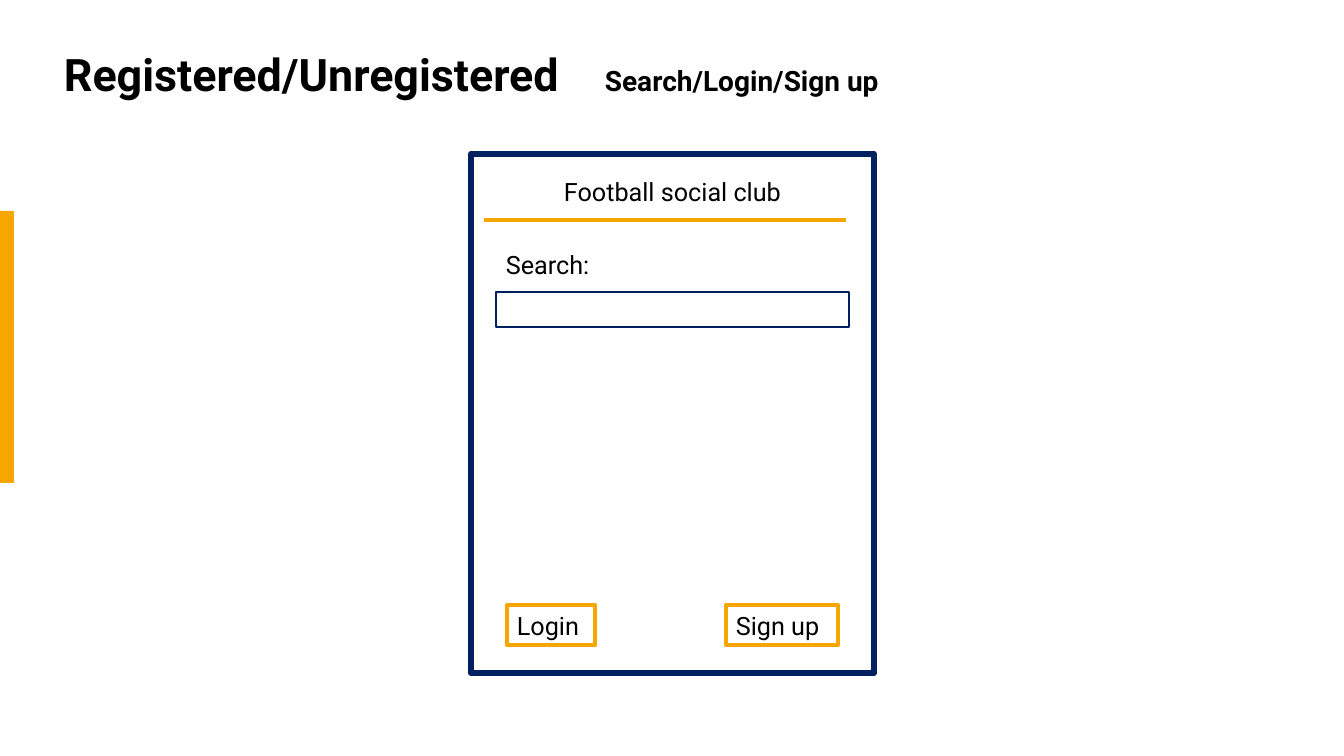
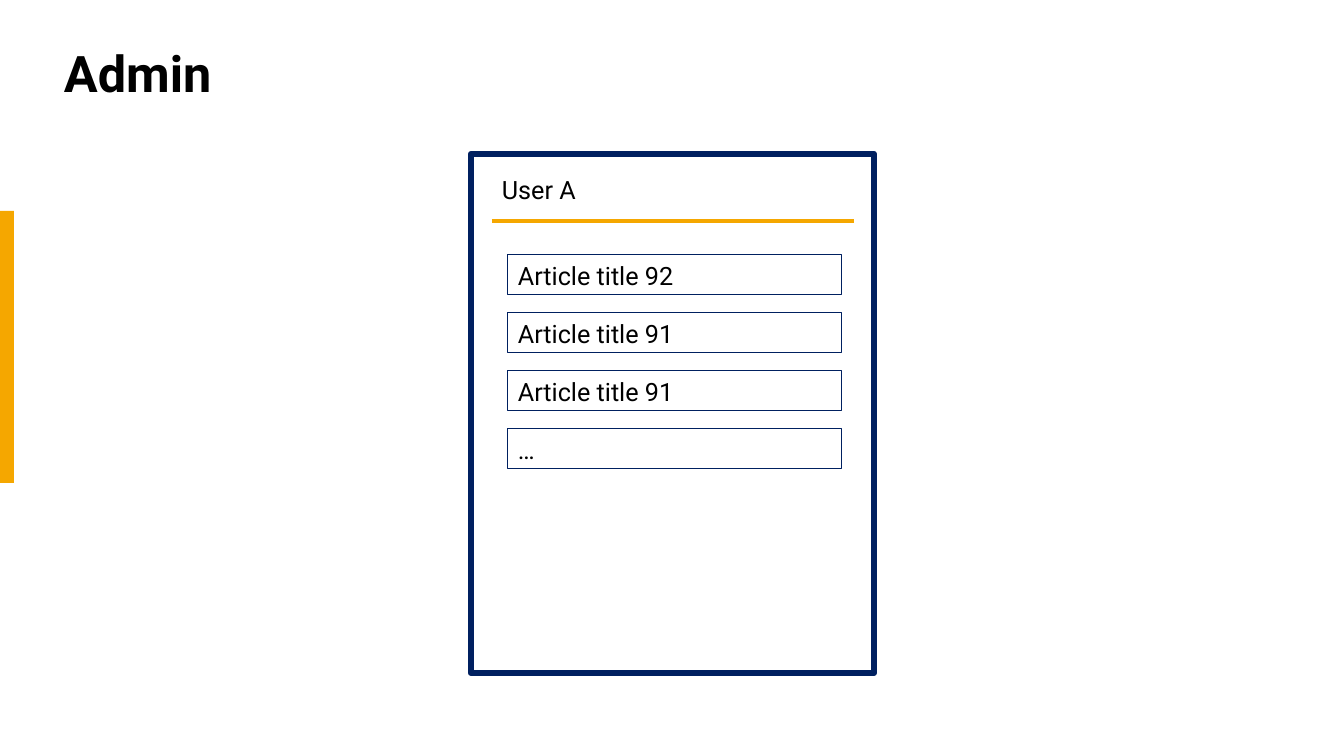
from lxml import etree
from pptx import Presentation
from pptx.dml.color import RGBColor
from pptx.enum.shapes import MSO_CONNECTOR, MSO_SHAPE
from pptx.enum.text import MSO_ANCHOR, PP_ALIGN
from pptx.oxml.ns import qn
from pptx.util import Pt

# Content: (text, size) runs; text and field boxes as (text, left, top, width)
TITLES = {
    "visitor": [("Registered/Unregistered\t", 32), ("Search/Login/Sign up", 20)],
    "admin": [("Admin", 36)],
}
BUTTONS = [("Login", 507, 605, 88), ("Sign up", 726, 605, 112)]
ARTICLES = ["Article title 92", "Article title 91", "Article title 91", "…"]

# Shared style
FONT = "Roboto"
BLACK, WHITE, NAVY, ORANGE = "000000", "FFFFFF", "002060", "F5A700"
BODY_SIZE = 18
ROW_HEIGHT = 40
SUBTITLE_TAB = 541

# Places in px
SLIDE_SIZE = (1344, 756)
TITLE_BOX = (54, 40, 1249, 73)
SIDE_BAR = (0, 211, 14, 272)
FRAME = (471, 154, 403, 519)
RULE_WIDTH = 362
SEARCH_FIELD = (496, 292, 353, 35)
ARTICLE_LEFT, ARTICLE_TOP, ARTICLE_WIDTH, ARTICLE_PITCH = 508, 255, 334, 58


def px(length):
    return round(length * 914400 / 100.8)


def color(value):
    return RGBColor.from_string(value)


def set_line(shape, line, width):
    shape.line.color.rgb = color(line)
    shape.line.width = Pt(width)


def add_rectangle(slide, box, fill, line=None, width=0):
    shape = slide.shapes.add_shape(MSO_SHAPE.RECTANGLE, *map(px, box))
    shape.shadow.inherit = False
    shape.fill.solid()
    shape.fill.fore_color.rgb = color(fill)
    if line:
        set_line(shape, line, width)
    else:
        shape.line.fill.background()


def add_run(paragraph, text, size, bold=False):
    run = paragraph.add_run()
    run.text = text
    run.font.name = FONT
    run.font.size = Pt(size)
    run.font.bold = bold
    run.font.color.rgb = color(BLACK)


def add_text(slide, text, left, top, width, align=PP_ALIGN.LEFT, line=None, line_width=0):
    shape = slide.shapes.add_textbox(*map(px, (left, top, width, ROW_HEIGHT)))
    shape.text_frame.word_wrap = True
    paragraph = shape.text_frame.paragraphs[0]
    paragraph.alignment = align
    add_run(paragraph, text, BODY_SIZE)
    if line:
        set_line(shape, line, line_width)


def add_title(slide, runs):
    frame = slide.shapes.add_textbox(*map(px, TITLE_BOX)).text_frame
    frame.word_wrap = True
    frame.vertical_anchor = MSO_ANCHOR.MIDDLE
    paragraph = frame.paragraphs[0]
    # Tab stop that places the subtitle
    properties = paragraph._p.get_or_add_pPr()
    tabs = etree.SubElement(properties, qn("a:tabLst"))
    etree.SubElement(tabs, qn("a:tab"), pos=str(px(SUBTITLE_TAB)), algn="l")
    paragraph.line_spacing = 0.9
    for text, size in runs:
        add_run(paragraph, text, size, bold=True)


def add_rule(slide, left, top):
    rule = slide.shapes.add_connector(
        MSO_CONNECTOR.STRAIGHT, px(left), px(top), px(left + RULE_WIDTH), px(top))
    set_line(rule, ORANGE, 3)
    etree.SubElement(rule._element.spPr, qn("a:effectLst"))


def add_screen_slide(presentation, title):
    """Slide with title, side bar and an empty screen frame."""
    slide = presentation.slides.add_slide(presentation.slide_layouts[6])
    add_title(slide, title)
    add_rectangle(slide, SIDE_BAR, ORANGE)
    add_rectangle(slide, FRAME, WHITE, NAVY, 4.5)
    return slide


def build_visitor_slide(presentation):
    slide = add_screen_slide(presentation, TITLES["visitor"])
    add_text(slide, "Football social club", FRAME[0], 171, FRAME[2], PP_ALIGN.CENTER)
    add_rule(slide, 484, 220)
    add_rectangle(slide, SEARCH_FIELD, WHITE, NAVY, 1.5)
    add_text(slide, "Search:", 496, 244, 257)
    for button in BUTTONS:
        add_text(slide, *button, line=ORANGE, line_width=3)


def build_admin_slide(presentation):
    slide = add_screen_slide(presentation, TITLES["admin"])
    add_text(slide, "User A", 492, 169, 142)
    add_rule(slide, 492, 221)
    for index, article in enumerate(ARTICLES):
        top = ARTICLE_TOP + index * ARTICLE_PITCH
        add_text(slide, article, ARTICLE_LEFT, top, ARTICLE_WIDTH, line=NAVY, line_width=0.75)


def main():
    presentation = Presentation()
    presentation.slide_width, presentation.slide_height = map(px, SLIDE_SIZE)
    build_visitor_slide(presentation)
    build_admin_slide(presentation)
    presentation.save("out.pptx")


if __name__ == "__main__":
    main()
